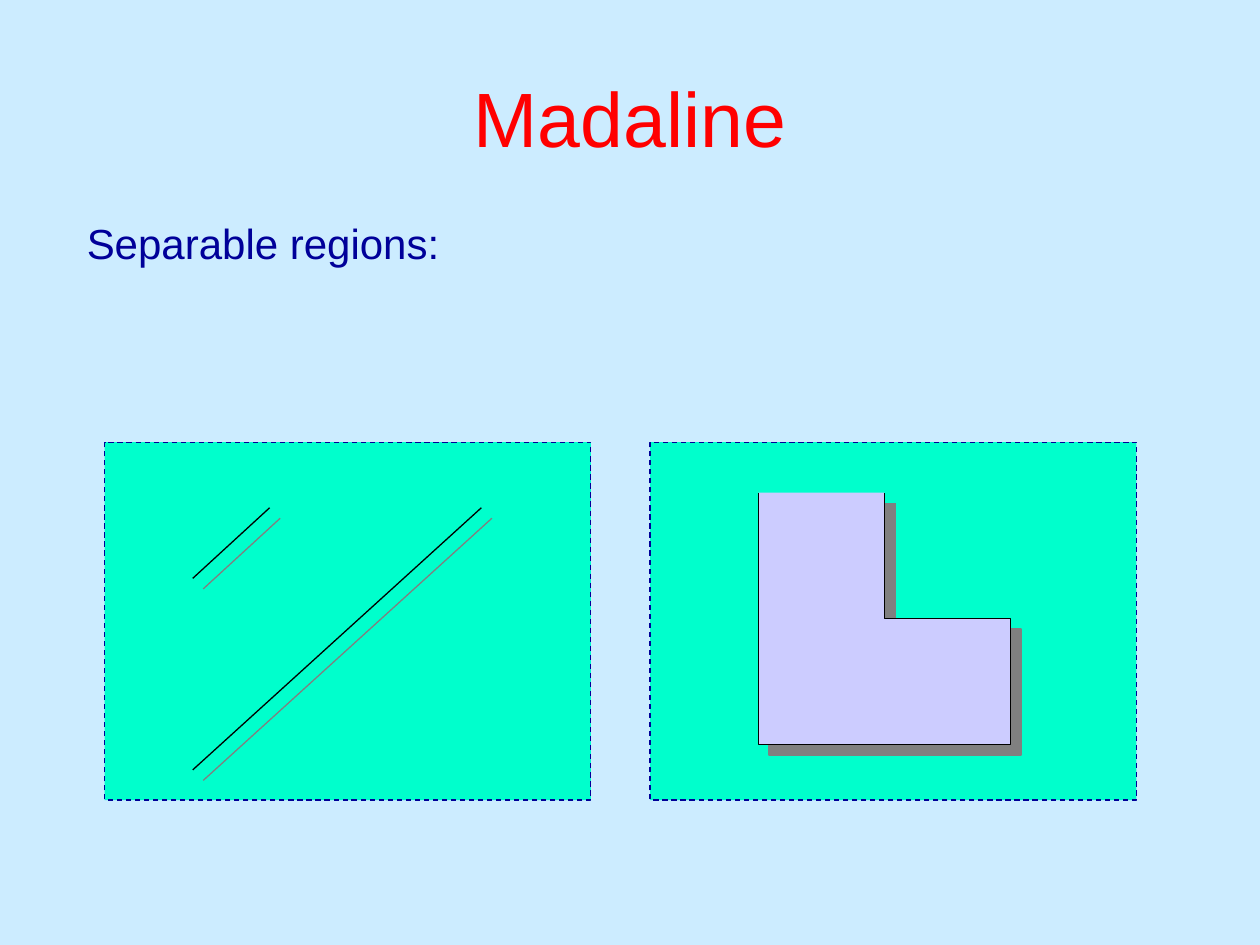
import dataclasses

import lxml.etree
import pptx
import pptx.dml.color
import pptx.enum.dml
import pptx.enum.shapes
import pptx.enum.text
import pptx.oxml.ns
import pptx.util

Inches = pptx.util.Inches
Pt = pptx.util.Pt


@dataclasses.dataclass(frozen=True)
class Theme:
    background: str = "CCECFF"
    title: str = "FF0000"
    accent: str = "000099"
    panel: str = "00FFCC"
    region: str = "CCCCFF"
    outline: str = "000000"
    shadow: str = "808080"
    font: str = "Arial"
    title_size: float = 44
    body_size: float = 24
    line_width: float = 0.75
    shadow_distance: float = 8.5


THEME = Theme()
DASH = pptx.enum.dml.MSO_LINE.DASH

# Boxes are left, top, width, height in inches
TITLE_BOX = (0.5, 0.3, 9, 1.25)
CAPTION_BOX = (0.59, 1.68, 8.11, 0.5)
PANEL_BOXES = [(left, 3.51, 3.86, 2.84) for left in (0.83, 5.16)]

# Contours are measured from the panel's top left corner
BOUNDARY_LINES = [
    [(1.31, 0.52), (0.7, 1.08)],
    [(0.7, 2.6), (2.99, 0.52)],
]
L_REGION = [[(0.86 + x, 0.4 + y) for x, y in
             ((0, 0), (0, 2), (2, 2), (2, 1), (1, 1), (1, 0))]]


def rgb(value):
    return pptx.dml.color.RGBColor.from_string(value)


def apply(target, values):
    for name, value in values.items():
        setattr(target, name, value)


def write_text(shape, text, size, color, alignment, anchor):
    frame = shape.text_frame
    apply(frame, {"word_wrap": True, "vertical_anchor": anchor})
    paragraph = frame.paragraphs[0]
    paragraph.alignment = alignment
    run = paragraph.add_run()
    run.text = text
    apply(run.font, {"name": THEME.font, "size": Pt(size)})
    run.font.color.rgb = rgb(color)


def style_shape(shape, fill, line, dash=None):
    shape.shadow.inherit = False
    if fill:
        shape.fill.solid()
        shape.fill.fore_color.rgb = rgb(fill)
    else:
        shape.fill.background()
    apply(shape.line, {"width": Pt(THEME.line_width), "dash_style": dash})
    shape.line.color.rgb = rgb(line)


def add_shadow(shape):
    qn = pptx.oxml.ns.qn
    effects = shape._element.spPr.find(qn("a:effectLst"))
    shadow = lxml.etree.SubElement(effects, qn("a:outerShdw"), {
        "dist": str(int(Pt(THEME.shadow_distance))),
        "dir": str(45 * 60000),
        "algn": "ctr",
        "rotWithShape": "0",
    })
    lxml.etree.SubElement(shadow, qn("a:srgbClr"), val=THEME.shadow)


def add_title(slide, box):
    title = slide.shapes.title
    apply(title, dict(zip(("left", "top", "width", "height"), map(Inches, box))))
    write_text(title, "Madaline", THEME.title_size, THEME.title,
               pptx.enum.text.PP_ALIGN.CENTER, pptx.enum.text.MSO_ANCHOR.MIDDLE)


def add_caption(slide, box):
    caption = slide.shapes.add_textbox(*map(Inches, box))
    write_text(caption, "Separable regions:", THEME.body_size, THEME.accent,
               pptx.enum.text.PP_ALIGN.LEFT, pptx.enum.text.MSO_ANCHOR.TOP)


def add_panel(slide, box, contours, fill):
    # Dashed background rectangle
    panel = slide.shapes.add_shape(
        pptx.enum.shapes.MSO_SHAPE.RECTANGLE, *map(Inches, box))
    style_shape(panel, THEME.panel, THEME.accent, DASH)

    # Open contours, all in one shadowed outline
    left, top = box[:2]
    paths = [[(Inches(left + x), Inches(top + y)) for x, y in contour]
             for contour in contours]
    builder = slide.shapes.build_freeform(*paths[0][0])
    builder.add_line_segments(paths[0][1:], close=False)
    for path in paths[1:]:
        builder.move_to(*path[0])
        builder.add_line_segments(path[1:], close=False)
    outline = builder.convert_to_shape()
    style_shape(outline, fill, THEME.outline)
    add_shadow(outline)


def main():
    presentation = pptx.Presentation()
    apply(presentation, {"slide_width": Inches(10), "slide_height": Inches(7.5)})
    slide = presentation.slides.add_slide(presentation.slide_layouts[5])
    slide.background.fill.solid()
    slide.background.fill.fore_color.rgb = rgb(THEME.background)

    add_title(slide, TITLE_BOX)
    add_caption(slide, CAPTION_BOX)
    regions = ((BOUNDARY_LINES, None), (L_REGION, THEME.region))
    for box, (contours, fill) in zip(PANEL_BOXES, regions):
        add_panel(slide, box, contours, fill)

    presentation.save("out.pptx")


if __name__ == "__main__":
    main()
